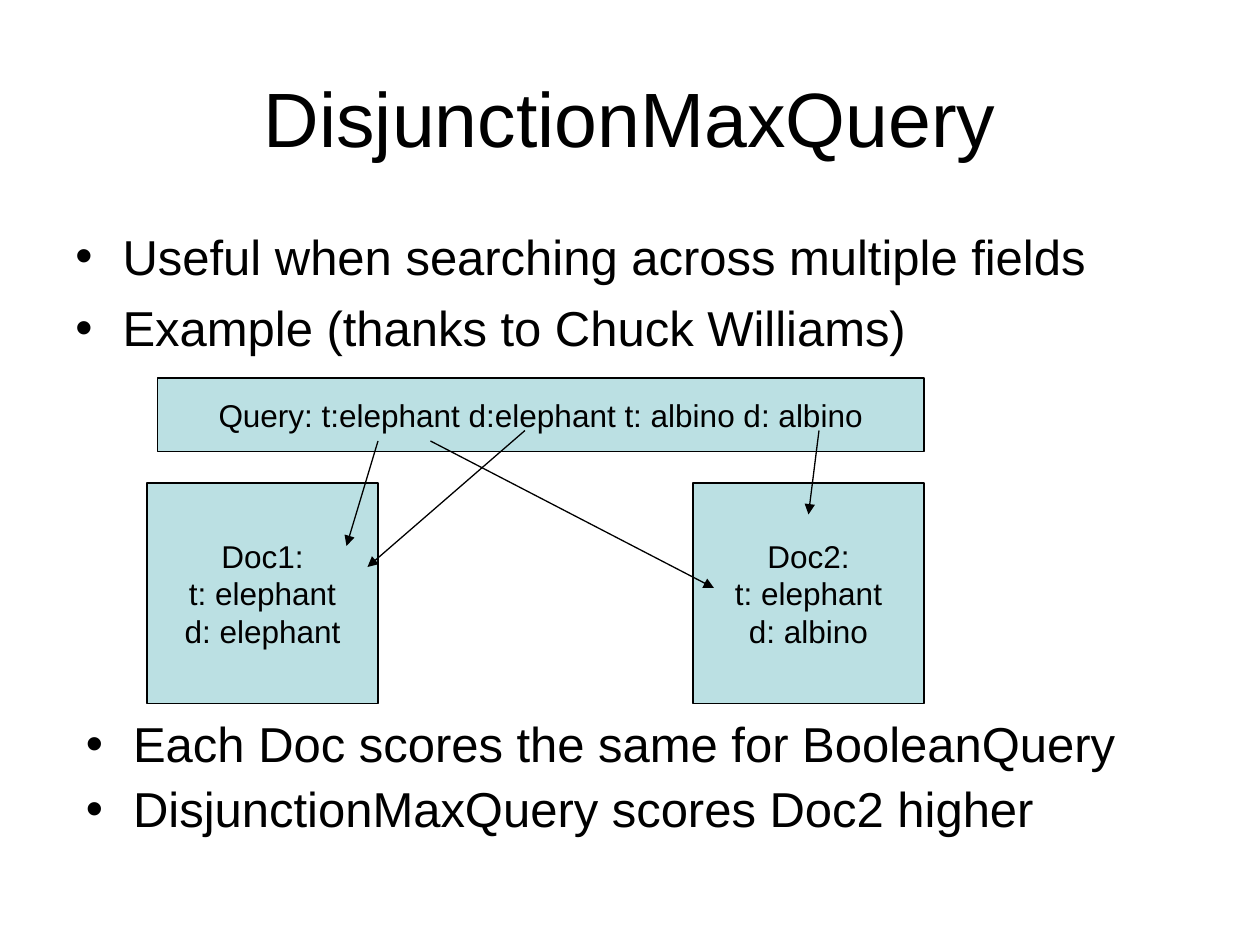
import pptx
import pptx.dml.color
import pptx.enum.shapes
import pptx.enum.text
import pptx.oxml
import pptx.oxml.ns
import pptx.util

PX = 9525  # EMU in one px, 96 px to the inch
FONT, BLACK, WHITE, PALE_BLUE = "Arial", "000000", "FFFFFF", "BBE0E3"
ALIGN = pptx.enum.text.PP_ALIGN
ANCHOR = pptx.enum.text.MSO_ANCHOR

TITLE = ("DisjunctionMaxQuery", (48, 29, 864, 120))
BULLETS = [  # paragraphs, box, line spacing
    (["Useful when searching across multiple fields",
      "Example (thanks to Chuck Williams)"], (48, 168, 864, 136), 1.0),
    (["Each Doc scores the same for BooleanQuery",
      "DisjunctionMaxQuery scores Doc2 higher"], (56, 544, 864, 136), 0.9),
]
BOXES = [
    (["Doc1:", "t: elephant", "d: elephant"], (112, 368, 176, 168)),
    (["Doc2:", "t: elephant", "d: albino"], (528, 368, 176, 168)),
    (["Query: t:elephant d:elephant t: albino d: albino"], (120, 288, 584, 56)),
]
ARROWS = [  # from x, y to x, y
    (288, 336, 264, 416),
    (400, 328, 280, 432),
    (328, 336, 544, 448),
    (624, 328, 616, 392),
]
INDENT = 36


def px(values):
    return [v * PX for v in values]


def color(hex_string):
    return pptx.dml.color.RGBColor.from_string(hex_string)


def add_xml(parent, xml):
    ns = pptx.oxml.ns.nsdecls("a")
    parent.append(pptx.oxml.parse_xml(xml.replace("/>", f" {ns}/>", 1)))


def write(tf, lines, size, align, anchor, wrap=True):
    tf.text = "\n".join(lines)
    tf.auto_size = pptx.enum.text.MSO_AUTO_SIZE.NONE
    tf.word_wrap = wrap
    tf.vertical_anchor = anchor
    for p in tf.paragraphs:
        p.alignment = align
        for r in p.runs:
            r.font.name = FONT
            r.font.size = pptx.util.Pt(size)
            r.font.color.rgb = color(BLACK)


def add_bullets(s, lines, box, spacing):
    tf = s.shapes.add_textbox(*px(box)).text_frame
    write(tf, lines, 28, ALIGN.LEFT, ANCHOR.TOP)
    for p in tf.paragraphs:
        p.space_before = pptx.util.Pt(7)
        p.line_spacing = spacing
        pPr = p._p.get_or_add_pPr()
        pPr.set("marL", str(INDENT * PX))
        pPr.set("indent", str(-INDENT * PX))
        add_xml(pPr, f'<a:buFont typeface="{FONT}"/>')
        add_xml(pPr, '<a:buChar char="•"/>')


def add_box(s, lines, box):
    sp = s.shapes.add_shape(pptx.enum.shapes.MSO_SHAPE.RECTANGLE, *px(box))
    sp.shadow.inherit = False
    sp.fill.solid()
    sp.fill.fore_color.rgb = color(PALE_BLUE)
    sp.line.color.rgb = color(BLACK)
    sp.line.width = pptx.util.Pt(0.75)
    write(sp.text_frame, lines, 18, ALIGN.CENTER, ANCHOR.MIDDLE, wrap=False)


def add_arrow(s, ends):
    line = s.shapes.add_connector(
        pptx.enum.shapes.MSO_CONNECTOR.STRAIGHT, *px(ends))
    line.line.color.rgb = color(BLACK)
    line.line.width = pptx.util.Pt(0.75)
    add_xml(line.line._get_or_add_ln(), '<a:tailEnd type="triangle"/>')
    add_xml(line._element.spPr, "<a:effectLst/>")


def main():
    prs = pptx.Presentation()
    prs.slide_width, prs.slide_height = px((960, 720))
    s = prs.slides.add_slide(prs.slide_layouts[5])
    s.background.fill.solid()
    s.background.fill.fore_color.rgb = color(WHITE)

    text, box = TITLE
    title = s.shapes.title
    title.left, title.top, title.width, title.height = px(box)
    write(title.text_frame, [text], 44, ALIGN.CENTER, ANCHOR.MIDDLE)

    for lines, box, spacing in BULLETS:
        add_bullets(s, lines, box, spacing)
    for lines, box in BOXES:
        add_box(s, lines, box)
    for ends in ARROWS:
        add_arrow(s, ends)
    prs.save("out.pptx")


if __name__ == "__main__":
    main()
